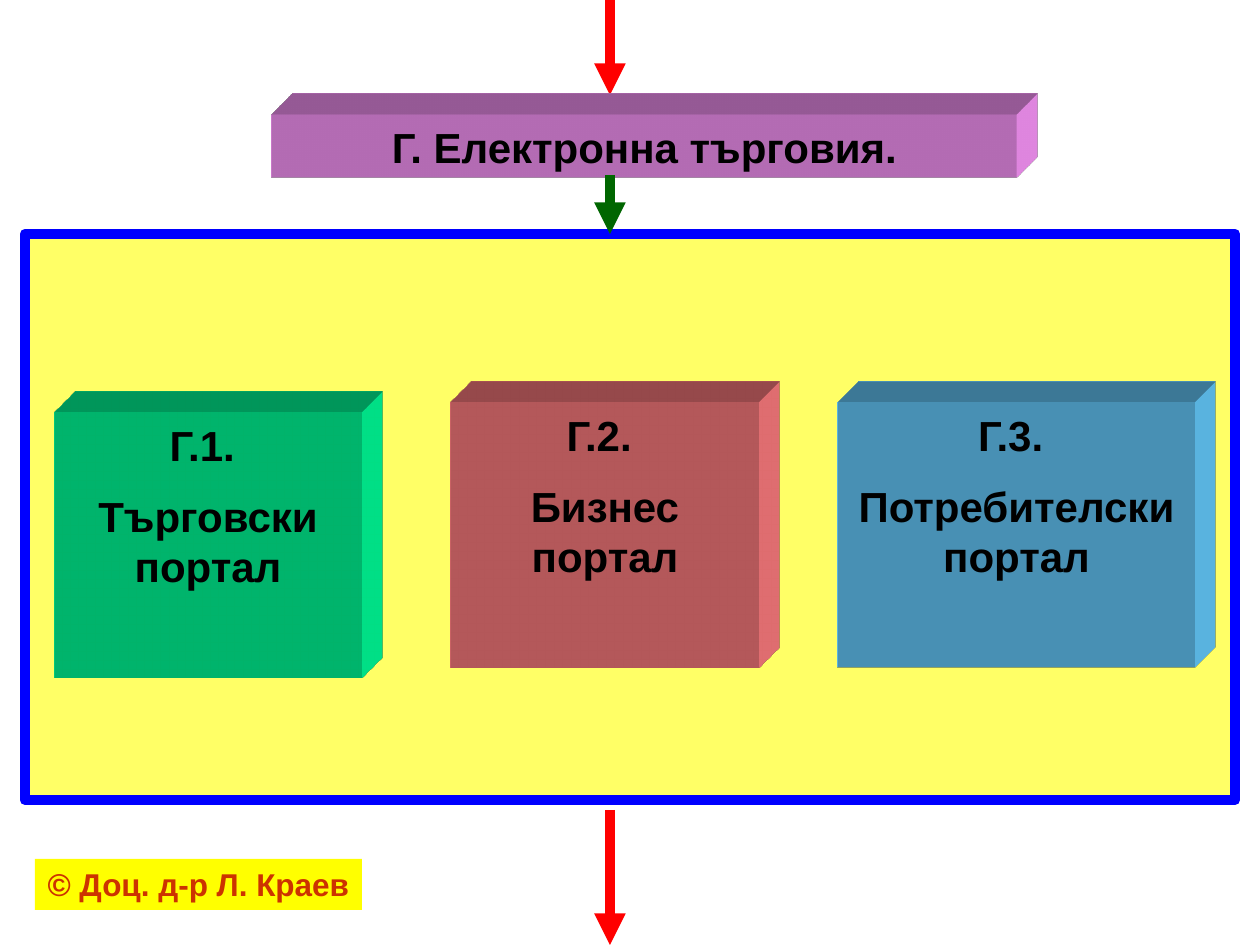
from lxml import etree
from pptx import Presentation
from pptx import util as u
from pptx.dml.color import RGBColor
from pptx.enum import shapes, text
from pptx.oxml import parse_xml
from pptx.oxml.ns import qn

PX = 914400 // 126
BLACK = RGBColor(0, 0, 0)
RED = RGBColor(255, 0, 0)
GREEN = RGBColor(0, 102, 0)
BLUE = RGBColor(0, 0, 255)
YELLOW = RGBColor(255, 255, 0)
CREAM = RGBColor(255, 255, 102)
RUST = RGBColor(204, 51, 0)
PINK = RGBColor(255, 153, 255)
MINT = RGBColor(0, 255, 153)
CORAL = RGBColor(255, 124, 128)
SKY = RGBColor(102, 204, 255)
NS = 'xmlns:a="http://schemas.openxmlformats.org/drawingml/2006/main"'
SCENE = f"""<a:scene3d {NS}><a:camera prst="legacyObliqueTopRight"/>
<a:lightRig rig="legacyFlat3" dir="b"/></a:scene3d>"""
SOLID = f"""<a:sp3d {NS} extrusionH="430200" prstMaterial="legacyMatte">
<a:bevelT w="13500" h="13500" prst="angle"/><a:bevelB w="13500" h="13500" prst="angle"/>
<a:extrusionClr><a:srgbClr val="%s"/></a:extrusionClr></a:sp3d>"""


class Deck:
    font = "Arial"
    width = u.Pt(6)

    def __init__(self, wide, high):
        self.prs = Presentation()
        self.prs.slide_width, self.prs.slide_height = wide * PX, high * PX
        self.slide = self.prs.slides.add_slide(self.prs.slide_layouts[6])

    def rect(self, x, y, w, h, fill, edge=None):
        box = self.slide.shapes.add_shape(
            shapes.MSO_SHAPE.RECTANGLE, x * PX, y * PX, w * PX, h * PX)
        box.shadow.inherit = False
        box.fill.solid()
        box.fill.fore_color.rgb = fill
        if edge is None:
            box.line.fill.background()
        else:
            box.line.color.rgb = edge
            box.line.width = self.width
        return box

    def label(self, box, words, size=24, color=BLACK, wrap=True):
        frame = box.text_frame
        frame.word_wrap = wrap
        frame.vertical_anchor = text.MSO_ANCHOR.TOP
        frame.text = words
        for i, para in enumerate(frame.paragraphs):
            para.alignment = text.PP_ALIGN.CENTER
            para.space_before = u.Pt(size / 2 if i else 0)
            for run in para.runs:
                run.font.name = self.font
                run.font.size = u.Pt(size)
                run.font.bold = True
                run.font.color.rgb = color

    def block(self, x, y, w, h, fill, words):
        box = self.rect(x, y, w, h, fill)
        props = box._element.spPr
        props.append(parse_xml(SCENE))
        props.append(parse_xml(SOLID % str(fill)))
        self.label(box, words)

    def arrow(self, x, top, end, color):
        line = self.slide.shapes.add_connector(
            shapes.MSO_CONNECTOR.STRAIGHT, x * PX, top * PX, x * PX, end * PX)
        line.line.color.rgb = color
        line.line.width = self.width
        props = line._element.spPr
        etree.SubElement(props.find(qn("a:ln")), qn("a:tailEnd"), type="triangle")
        etree.SubElement(props, qn("a:effectLst"))


def main():
    deck = Deck(1260, 945)
    mid = 610
    deck.arrow(mid, 0, 95, RED)
    deck.block(272, 115, 745, 63, PINK, "Г. Електронна търговия.")
    note = deck.rect(35, 859, 327, 51, YELLOW)
    deck.label(note, "© Доц. д-р Л. Краев", 18, RUST, False)
    deck.rect(25, 234, 1210, 566, CREAM, BLUE)
    deck.arrow(mid, 175, 234, GREEN)
    deck.arrow(mid, 810, 945, RED)
    portals = [
        (54, 413, 308, MINT, "Търговски\vпортал"),
        (451, 403, 308, CORAL, "Бизнес\vпортал"),
        (838, 403, 357, SKY, "Потребителски портал"),
    ]
    for i, (x, y, w, fill, name) in enumerate(portals, 1):
        deck.block(x, y, w, 265, fill, f"Г.{i}. \n{name}")
    deck.prs.save("out.pptx")


if __name__ == "__main__":
    main()
